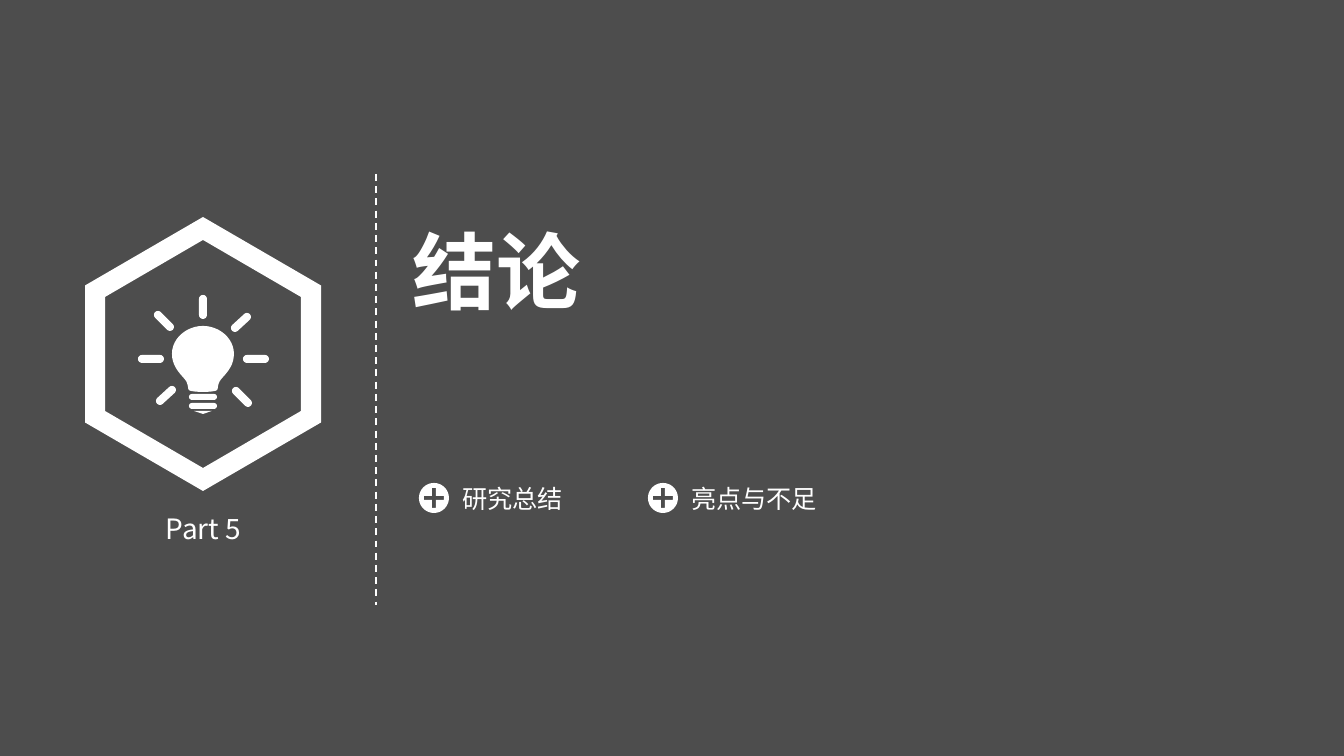
import math
from lxml import etree
from pptx import Presentation
from pptx import util as u
from pptx.dml.color import RGBColor
from pptx.enum import dml, shapes, text
from pptx.oxml import ns

PX = 9075
FONT = "Noto Sans CJK SC"
COLORS = {"background": "4D4D4D", "white": "FFFFFF"}
WHITE = RGBColor.from_string(COLORS["white"])


def draw_outline(contours):
    scaled = [[(x * PX, y * PX) for x, y in contour] for contour in contours]
    builder = slide.shapes.build_freeform(*scaled[0][0])
    for index, contour in enumerate(scaled):
        if index:
            builder.move_to(*contour[0])
        builder.add_line_segments(contour[1:], close=True)
    icon = builder.convert_to_shape()
    icon.shadow.inherit = False
    icon.fill.solid()
    icon.fill.fore_color.rgb = WHITE
    icon.line.fill.background()


def write_label(holder, words, box, size, align, bold=False):
    holder.left, holder.top, holder.width, holder.height = [v * PX for v in box]
    frame = holder.text_frame
    frame.word_wrap = True
    frame.auto_size = text.MSO_AUTO_SIZE.NONE
    frame.vertical_anchor = text.MSO_ANCHOR.MIDDLE
    frame.text = words
    line = frame.paragraphs[0]
    line.alignment = align
    line.space_before = u.Pt(0)
    line.font.name = FONT
    line.font.size = u.Pt(size)
    line.font.bold = bold
    line.font.color.rgb = WHITE
    properties = line.font._element
    east_asian = etree.Element(ns.qn("a:ea"), typeface=FONT)
    properties.find(ns.qn("a:latin")).addnext(east_asian)
    paragraph_properties = properties.getparent()
    paragraph_properties.set("marL", "0")
    paragraph_properties.set("indent", "0")
    properties.addprevious(etree.Element(ns.qn("a:buNone")))


prs = Presentation()
prs.slide_width, prs.slide_height = 1344 * PX, 756 * PX
slide = prs.slides.add_slide(prs.slide_layouts[3])
slide.background.fill.solid()
slide.background.fill.fore_color.rgb = RGBColor.from_string(COLORS["background"])

left = text.PP_ALIGN.LEFT
write_label(slide.shapes.title, "结论", (402, 214, 667, 112), 60, left, True)

center_x, center_y = 203, 354
hexagon = []
for half_w, half_h in ((118, 137), (98, 114)):
    corners = ((0, -2), (1, -1), (1, 1), (0, 2), (-1, 1), (-1, -1))
    hexagon.append([(center_x + i * half_w, center_y + j * half_h / 2) for i, j in corners])
draw_outline(hexagon)

bulb_curves = [
    ((0, 326), (16, 326), (31, 338), (31, 354)),
    ((31, 354), (31, 370), (17, 378), (16, 383)),
    ((16, 383), (14, 388), (16, 390), (12, 391)),
    ((12, 391), (8, 392), (0, 392), (0, 392)),
]
half_bulb = []
for curve in bulb_curves:
    for step in range(12):
        t = step / 12
        weights = ((1 - t) ** 3, 3 * t * (1 - t) ** 2, 3 * t * t * (1 - t), t ** 3)
        half_bulb.append([sum(w * p[axis] for w, p in zip(weights, curve)) for axis in (0, 1)])
bulb = [(center_x + x, y) for x, y in half_bulb]
bulb += [(center_x - x, y) for x, y in reversed(half_bulb)]
tip = [(203, 414), (212, 411), (194, 411)]

rays = [
    (142, 359, 160, 359), (247, 359, 265, 359), (203, 299, 203, 315),
    (158, 315, 170, 327), (235, 328, 247, 317),
    (160, 401, 172, 390), (236, 391, 248, 403),
]
threads = [(192, 397, 214, 397), (192, 406, 214, 406)]
lamp = [bulb, tip]
for bars, radius in ((rays, 4), (threads, 3)):
    for x1, y1, x2, y2 in bars:
        heading = math.atan2(y2 - y1, x2 - x1)
        capsule = []
        for x, y, start in ((x2, y2, heading - math.pi / 2), (x1, y1, heading + math.pi / 2)):
            for step in range(9):
                angle = start + math.pi * step / 8
                capsule.append((x + radius * math.cos(angle), y + radius * math.sin(angle)))
        lamp.append(capsule)
draw_outline(lamp)

part = slide.shapes.add_textbox(0, 0, 0, 0)
write_label(part, "Part 5", (144, 506, 119, 44), 20, text.PP_ALIGN.CENTER)

divider = slide.shapes.add_connector(
    shapes.MSO_CONNECTOR.STRAIGHT, 376 * PX, 174 * PX, 376 * PX, 605 * PX)
divider.line.color.rgb = WHITE
divider.line.width = u.Pt(1.25)
divider.line.dash_style = dml.MSO_LINE.DASH
etree.SubElement(divider._element.spPr, ns.qn("a:effectLst"))

topics = [("研究总结", 434, 195), ("亮点与不足", 663, 184)]
topic_y, disc_radius, arm, half_bar = 498, 15, 10, 2
cross = [
    (-half_bar, -arm), (half_bar, -arm), (half_bar, -half_bar), (arm, -half_bar),
    (arm, half_bar), (half_bar, half_bar), (half_bar, arm), (-half_bar, arm),
    (-half_bar, half_bar), (-arm, half_bar), (-arm, -half_bar), (-half_bar, -half_bar),
]
disc = [(disc_radius * math.cos(math.tau * i / 48), disc_radius * math.sin(math.tau * i / 48))
        for i in range(48)]
for index, (topic, plus_x, width) in enumerate(topics, start=1):
    draw_outline([[(plus_x + x, topic_y + y) for x, y in ring] for ring in (disc, cross)])
    write_label(slide.placeholders[index], topic, (plus_x + 18, 478, width, 40), 18, left)

prs.save("out.pptx")
